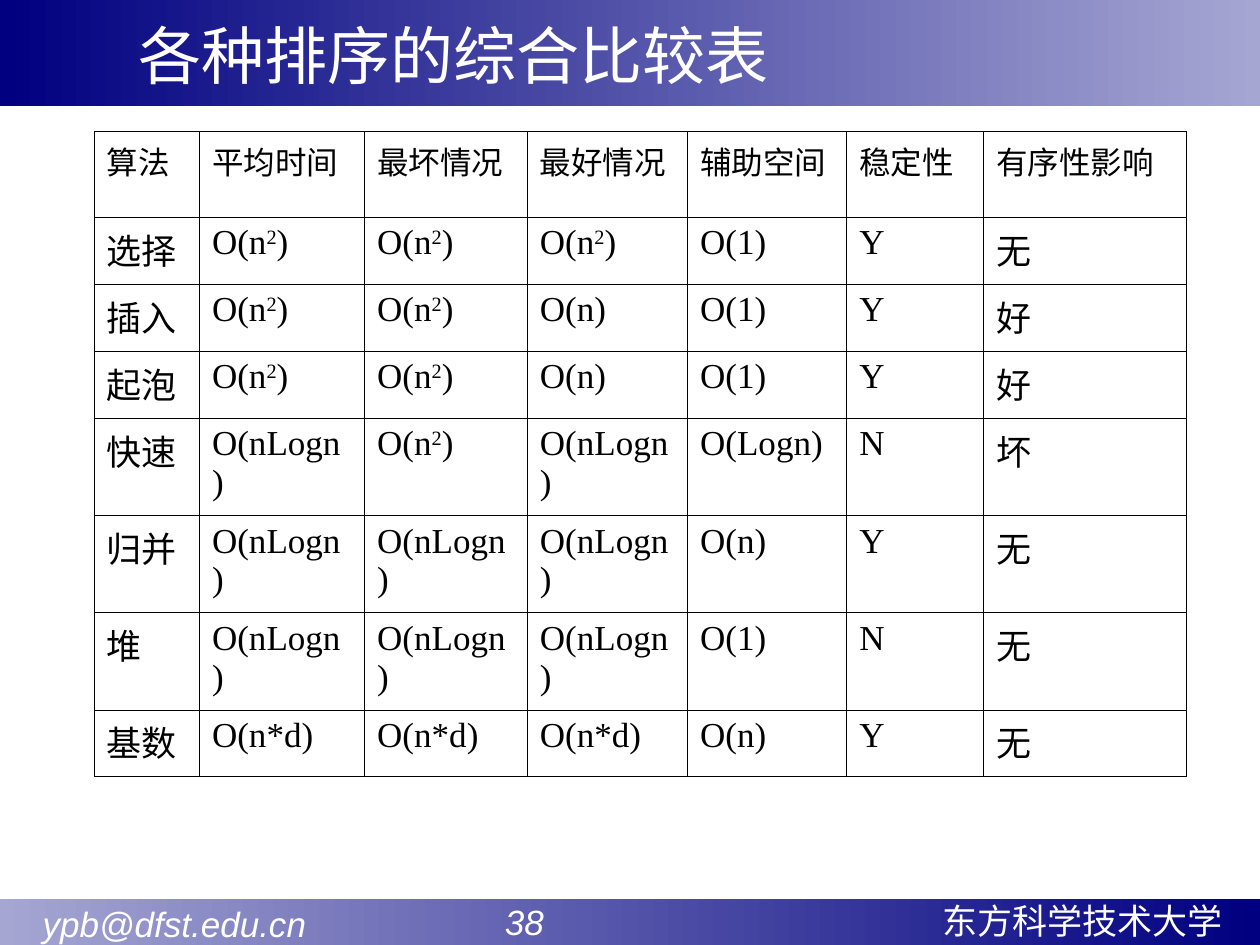
from lxml import etree
from pptx import Presentation
from pptx import util as u
from pptx.dml.color import RGBColor
from pptx.enum import shapes, text
from pptx.oxml.ns import qn

NAVY, LILAC, WHITE, BLACK = "000080", "A6A6D3", "FFFFFF", "000000"


def rgb(value):
    return RGBColor.from_string(value)


def box(*cm):
    return [u.Cm(v) for v in cm]


class Deck:
    title_fmt = {"name": "Times New Roman", "size": u.Pt(36)}
    head_fmt = {"name": "Times New Roman", "size": u.Pt(18)}
    body_fmt = {"name": "Times New Roman", "size": u.Pt(20)}
    foot_fmt = {"name": "Arial", "size": u.Pt(20)}

    def __init__(self, prs):
        self.s = prs.slides.add_slide(prs.slide_layouts[5])

    def add_text(self, p, content, fmt, color):
        """Fill a paragraph; a ² becomes a raised 2."""
        before, power, after = content.partition("²")
        for part, raised in ((before, False), ("2" if power else "", True), (after, False)):
            if not part:
                continue
            r = p.add_run()
            r.text = part
            for key, value in fmt.items():
                setattr(r.font, key, value)
            r.font.color.rgb = rgb(color)
            if raised:
                r.font._element.set("baseline", "30000")

    def bar(self, pos, start, end):
        sp = self.s.shapes.add_shape(shapes.MSO_SHAPE.RECTANGLE, *box(*pos))
        sp.shadow.inherit = False
        sp.line.fill.background()
        sp.fill.gradient()
        sp.fill.gradient_angle = 0
        for stop, color, at in zip(sp.fill.gradient_stops, (start, end), (0, 1)):
            stop.color.rgb = rgb(color)
            stop.position = at

    def title(self, pos, content):
        sp = self.s.shapes.title
        sp.left, sp.top, sp.width, sp.height = box(*pos)
        tf = sp.text_frame
        tf.auto_size = text.MSO_AUTO_SIZE.NONE
        tf.vertical_anchor = text.MSO_ANCHOR.BOTTOM
        p = tf.paragraphs[0]
        p.alignment = text.PP_ALIGN.LEFT
        self.add_text(p, content, self.title_fmt, WHITE)
        # Bring the title in front of the bars
        self.s.shapes._spTree.append(sp._element)

    def footer(self, pos, content, italic=False):
        tf = self.s.shapes.add_textbox(*box(*pos)).text_frame
        tf.word_wrap = True
        self.add_text(tf.paragraphs[0], content, {**self.foot_fmt, "italic": italic}, WHITE)

    def border(self, cell):
        tcPr = cell._tc.get_or_add_tcPr()
        for side in ("lnL", "lnR", "lnT", "lnB"):
            ln = etree.SubElement(tcPr, qn(f"a:{side}"), w=str(u.Pt(0.45)))
            fill = etree.SubElement(ln, qn("a:solidFill"))
            etree.SubElement(fill, qn("a:srgbClr"), val=BLACK)

    def table(self, left, top, widths, heights, rows):
        pos = box(left, top, sum(widths), sum(heights))
        tbl = self.s.shapes.add_table(len(rows), len(widths), *pos).table
        tbl.first_row = tbl.horz_banding = False
        for col, width in zip(tbl.columns, widths):
            col.width = u.Cm(width)
        for row, height in zip(tbl.rows, heights):
            row.height = u.Cm(height)
        for i, row in enumerate(rows):
            for j, content in enumerate(row):
                cell = tbl.cell(i, j)
                self.border(cell)
                cell.fill.background()
                p = cell.text_frame.paragraphs[0]
                p.alignment = text.PP_ALIGN.JUSTIFY
                self.add_text(p, content, self.body_fmt if i else self.head_fmt, BLACK)


def main():
    prs = Presentation()
    prs.slide_width, prs.slide_height = u.Cm(25.4), u.Cm(19.05)
    deck = Deck(prs)

    # Bars and title
    deck.bar((0, 18.13, 25.4, 0.99), LILAC, NAVY)
    deck.bar((0, 0, 25.4, 2.13), NAVY, LILAC)
    deck.title((2.54, 0.2, 20.75, 1.78), "各种排序的综合比较表")

    # Footer
    deck.footer((18.75, 18.01, 6.53, 1.09), "东方科学技术大学")
    deck.footer((9.93, 18.03, 3.73, 1.12), "38", italic=True)
    deck.footer((0.61, 18.06, 6.17, 1.12), "ypb@dfst.edu.cn", italic=True)

    # Comparison of sorting algorithms
    square, nlogn, radix = "O(n²)", "O(nLogn)", "O(n*d)"
    rows = [
        ("算法", "平均时间", "最坏情况", "最好情况", "辅助空间", "稳定性", "有序性影响"),
        ("选择", square, square, square, "O(1)", "Y", "无"),
        ("插入", square, square, "O(n)", "O(1)", "Y", "好"),
        ("起泡", square, square, "O(n)", "O(1)", "Y", "好"),
        ("快速", nlogn, square, nlogn, "O(Logn)", "N", "坏"),
        ("归并", nlogn, nlogn, nlogn, "O(n)", "Y", "无"),
        ("堆", nlogn, nlogn, nlogn, "O(1)", "N", "无"),
        ("基数", radix, radix, radix, "O(n)", "Y", "无"),
    ]
    widths = [2.12, 3.33, 3.28, 3.23, 3.21, 2.76, 4.08]
    single, double = 1.35, 1.96
    heights = [1.73] + [single] * 3 + [double] * 3 + [single]
    deck.table(1.9, 2.65, widths, heights, rows)

    prs.save("out.pptx")


if __name__ == "__main__":
    main()
